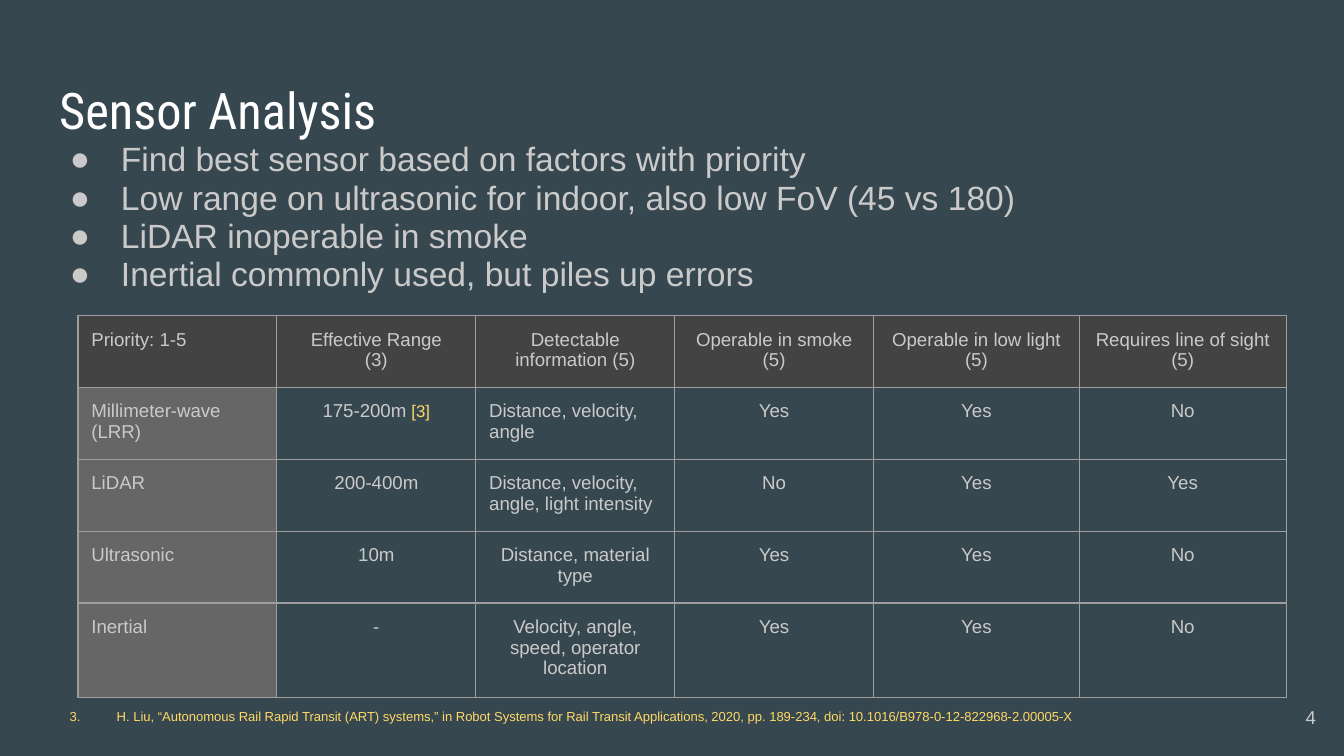
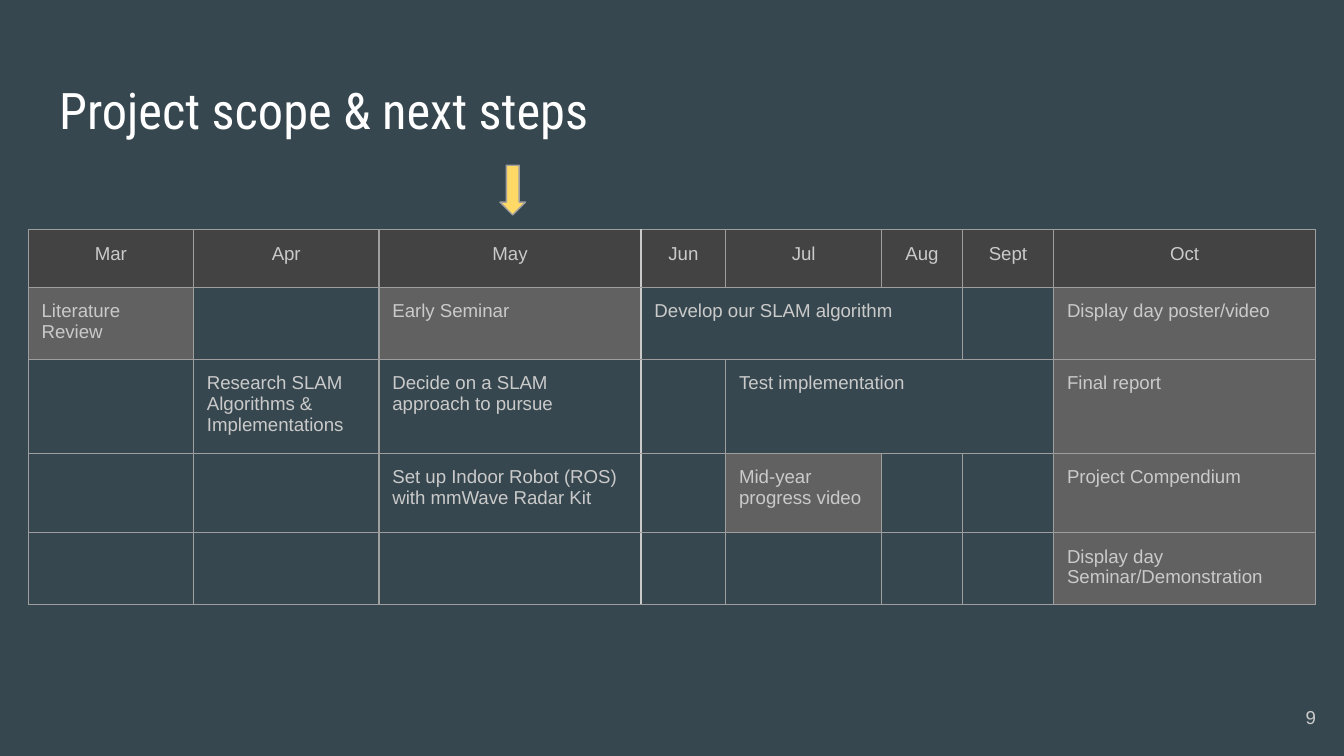
from lxml.etree import SubElement
from pptx import Presentation
from pptx.dml.color import RGBColor
from pptx.enum.shapes import MSO_SHAPE
from pptx.enum.text import MSO_ANCHOR, MSO_AUTO_SIZE, PP_ALIGN
from pptx.oxml import parse_xml
from pptx.oxml.ns import nsdecls, qn
from pptx.util import Inches, Pt

# Shared style
BACK, WHITE, TEXT, YELLOW = "37474F", "FFFFFF", "CACACA", "FFD966"
HEAD, SIDE, DONE, RULE = "434343", "666666", "616161", "9E9E9E"
BODY_FONT, TITLE_FONT = "Arial", "Roboto Condensed"
LEFT, CENTER, RIGHT = PP_ALIGN.LEFT, PP_ALIGN.CENTER, PP_ALIGN.RIGHT
TITLE_BOX = (0.34, 0.49, 9.32, 0.63)
NUMBER_BOX = (9.29, 5.12, 0.6, 0.43)
GRID_FRAME = 3.28

# Slide 1 content
FACTORS = [
    "Find best sensor based on factors with priority",
    "Low range on ultrasonic for indoor, also low FoV (45 vs 180)",
    "LiDAR inoperable in smoke",
    "Inertial commonly used, but piles up errors",
]
SENSORS = [
    ["Priority: 1-5", "Effective Range\n(3)", "Detectable information (5)",
     "Operable in smoke (5)", "Operable in low light (5)",
     "Requires line of sight (5)"],
    ["Millimeter-wave (LRR)", "175-200m ", "Distance, velocity, angle",
     "Yes", "Yes", "No"],
    ["LiDAR", "200-400m", "Distance, velocity, angle, light intensity",
     "No", "Yes", "Yes"],
    ["Ultrasonic", "10m", "Distance, material type", "Yes", "Yes", "No"],
    ["Inertial", "-", "Velocity, angle, speed, operator location",
     "Yes", "Yes", "No"],
]
SOURCE = ("3.\tH. Liu, “Autonomous Rail Rapid Transit (ART) systems,” in Robot "
          "Systems for Rail Transit Applications, 2020, pp. 189-234, "
          "doi: 10.1016/B978-0-12-822968-2.00005-X")

# Slide 2 content
SCHEDULE = [
    ["Mar", "Apr", "May", "Jun", "Jul", "Aug", "Sept", "Oct"],
    ["Literature Review", "", "Early Seminar", "Develop our SLAM algorithm",
     "", "", "", "Display day poster/video"],
    ["", "Research SLAM Algorithms & Implementations",
     "Decide on a SLAM approach to pursue", "", "Test implementation",
     "", "", "Final report"],
    ["", "", "Set up Indoor Robot (ROS) with mmWave Radar Kit", "",
     "Mid-year progress video", "", "", "Project Compendium"],
    ["", "", "", "", "", "", "", "Display day Seminar/Demonstration"],
]
MILESTONES = {(1, 0), (1, 2), (3, 4)}
MAY, JUN, OCT = 2, 3, 7


def rgb(color):
    return RGBColor.from_string(color)


def place(shape, box):
    shape.left, shape.top, shape.width, shape.height = map(Inches, box)


def style_run(r, size, color=TEXT, font=BODY_FONT):
    r.font.size, r.font.name = Pt(size), font
    r.font.color.rgb = rgb(color)


def set_text(tf, text, size, color=TEXT, font=BODY_FONT, align=LEFT,
             anchor=MSO_ANCHOR.TOP):
    tf.text = text
    tf.word_wrap = True
    tf.vertical_anchor = anchor
    tf.margin_left = tf.margin_right = Inches(0.1)
    tf.margin_top = tf.margin_bottom = Inches(0.1)
    for p in tf.paragraphs:
        p.alignment = align
        for r in p.runs:
            style_run(r, size, color, font)


def set_indent(p, left, first):
    pPr = p._p.get_or_add_pPr()
    pPr.set("marL", str(Inches(left)))
    pPr.set("indent", str(Inches(first)))
    return pPr


def add_text(s, box, text, size, **style):
    tb = s.shapes.add_textbox(*map(Inches, box))
    set_text(tb.text_frame, text, size, **style)
    return tb.text_frame


def add_base(prs, layout, title, number):
    """Slide with its title and page number."""
    s = prs.slides.add_slide(prs.slide_layouts[layout])
    place(s.shapes.title, TITLE_BOX)
    tf = s.shapes.title.text_frame
    set_text(tf, title, 27, WHITE, TITLE_FONT)
    tf.auto_size = MSO_AUTO_SIZE.NONE
    add_text(s, NUMBER_BOX, number, 10, align=RIGHT, anchor=MSO_ANCHOR.MIDDLE)
    return s


def add_bullets(body, box, lines):
    place(body, box)
    tf = body.text_frame
    set_text(tf, "\n".join(lines), 18)
    tf.auto_size = MSO_AUTO_SIZE.NONE
    for p in tf.paragraphs:
        p.line_spacing, p.space_before = 0.95, Pt(0)
        pPr = set_indent(p, 0.5, -0.38)
        SubElement(SubElement(pPr, qn("a:buClr")), qn("a:srgbClr"), val=TEXT)
        SubElement(pPr, qn("a:buFont"), typeface=BODY_FONT)
        SubElement(pPr, qn("a:buChar"), char="●")


def set_borders(cell, **colors):
    tcPr = cell._tc.get_or_add_tcPr()
    for i, side in enumerate("LRTB"):
        tcPr.insert(i, parse_xml(
            f'<a:ln{side} {nsdecls("a")} w="{Pt(0.75)}"><a:solidFill>'
            f'<a:srgbClr val="{colors.get(side, RULE)}"/>'
            f'</a:solidFill></a:ln{side}>'))


def add_grid(s, left, top, widths, heights, texts, fill_of, align_of,
             borders_of=lambda col: {}):
    """Table whose fill, alignment and borders follow the given rules."""
    box = (left, top, GRID_FRAME, GRID_FRAME)
    frame = s.shapes.add_table(len(heights), len(widths), *map(Inches, box))
    tbl = frame.table
    tbl.first_row = tbl.horz_banding = False
    for column, width in zip(tbl.columns, widths):
        column.width = Inches(width)
    for row, height in zip(tbl.rows, heights):
        row.height = Inches(height)
    # A fixed frame lets the rows grow to fit their text only
    place(frame, box)
    for i, row in enumerate(texts):
        for j, text in enumerate(row):
            cell = tbl.cell(i, j)
            set_text(cell.text_frame, text, 10, align=align_of(i, j))
            cell.margin_left = cell.margin_right = Inches(0.1)
            cell.margin_top = cell.margin_bottom = Inches(0.1)
            cell.vertical_anchor = MSO_ANCHOR.TOP
            color = fill_of(i, j)
            if color:
                cell.fill.solid()
                cell.fill.fore_color.rgb = rgb(color)
            else:
                cell.fill.background()
            set_borders(cell, **borders_of(j))
    return tbl


def sensor_slide(prs):
    s = add_base(prs, 1, "Sensor Analysis", "4")
    add_bullets(s.placeholders[1], (0.3, 0.95, 9.28, 1.29), FACTORS)

    # Sensor comparison
    def fill_of(i, j):
        return HEAD if i == 0 else SIDE if j == 0 else None

    def align_of(i, j):
        return LEFT if j == 0 or (i in (1, 2) and j == 2) else CENTER

    tbl = add_grid(s, 0.58, 2.35, [1.48] * 4 + [1.53, 1.54], [0.45] * 5,
                   SENSORS, fill_of, align_of)
    r = tbl.cell(1, 1).text_frame.paragraphs[0].add_run()
    r.text = "[3]"
    style_run(r, 9, YELLOW)

    # Reference
    tf = add_text(s, (-0.08, 5.21, 9.21, 0.32), SOURCE, 7, color=YELLOW)
    set_indent(tf.paragraphs[0], 0.85, -0.35)


def schedule_slide(prs):
    s = add_base(prs, 5, "Project scope & next steps", "9")

    # Month plan
    def fill_of(i, j):
        if i == 0:
            return HEAD
        return DONE if j == OCT or (i, j) in MILESTONES else None

    def align_of(i, j):
        return CENTER if i == 0 else LEFT

    def borders_of(j):
        return {MAY: {"R": TEXT}, JUN: {"L": TEXT}}.get(j, {})

    tbl = add_grid(s, 0.21, 1.71,
                   [1.23, 1.38, 1.95, 0.63, 1.16, 0.6, 0.68, 1.95],
                   [0.43, 0.5, 0.53, 0.59, 0.44],
                   SCHEDULE, fill_of, align_of, borders_of)
    for row, first in ((1, 3), (2, 4)):
        tbl.cell(row, first).merge(tbl.cell(row, first + 2))

    # Current month marker
    arrow = s.shapes.add_shape(MSO_SHAPE.DOWN_ARROW,
                               *map(Inches, (3.72, 1.23, 0.19, 0.37)))
    arrow.shadow.inherit = False
    arrow.fill.solid()
    arrow.fill.fore_color.rgb = rgb(YELLOW)
    arrow.line.color.rgb = rgb(RULE)
    arrow.line.width = Pt(0.75)


def main():
    prs = Presentation()
    prs.slide_width = Inches(10)
    prs.slide_height = prs.slide_width * 9 // 16
    fill = prs.slide_master.background.fill
    fill.solid()
    fill.fore_color.rgb = rgb(BACK)
    sensor_slide(prs)
    schedule_slide(prs)
    prs.save("out.pptx")


if __name__ == "__main__":
    main()
